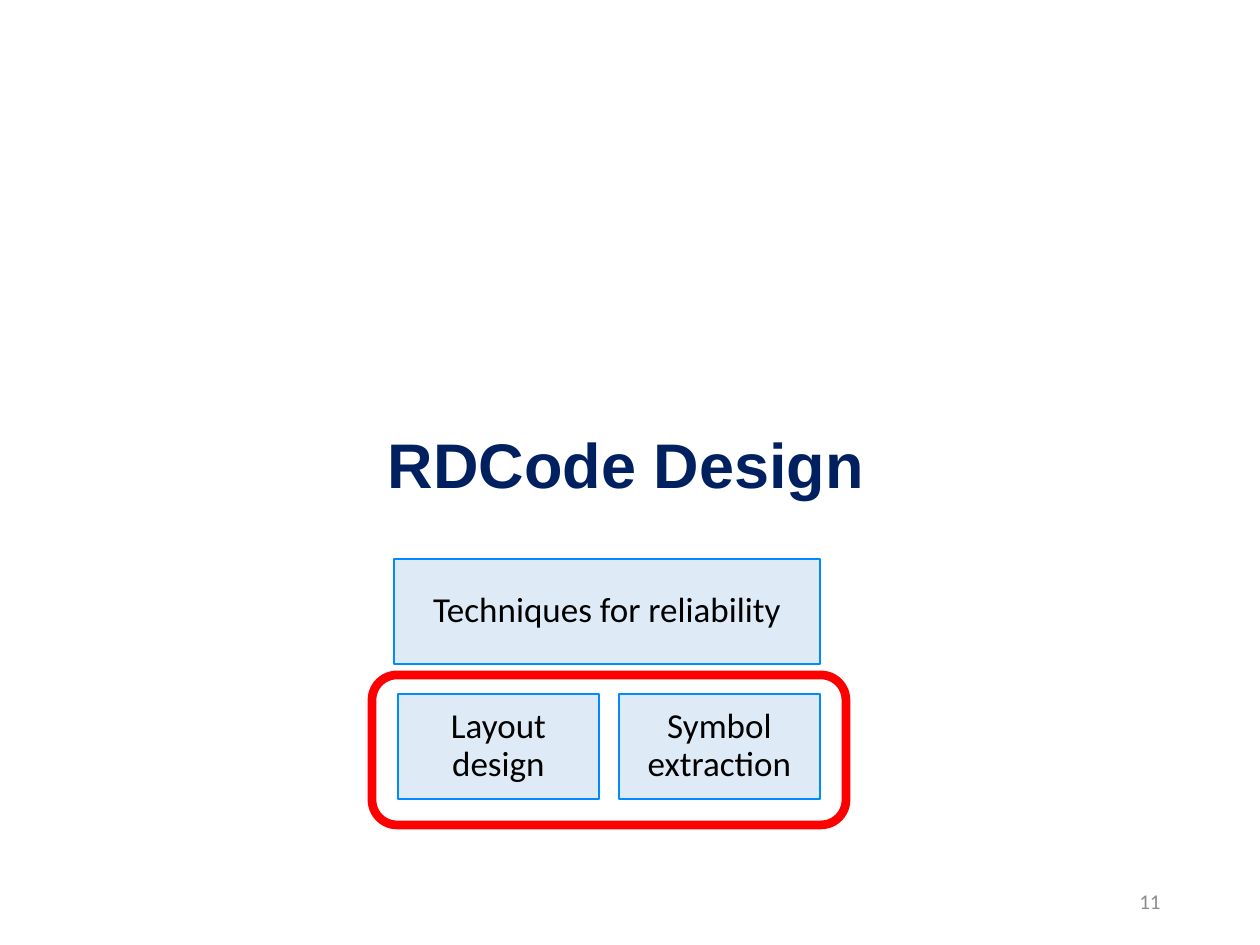
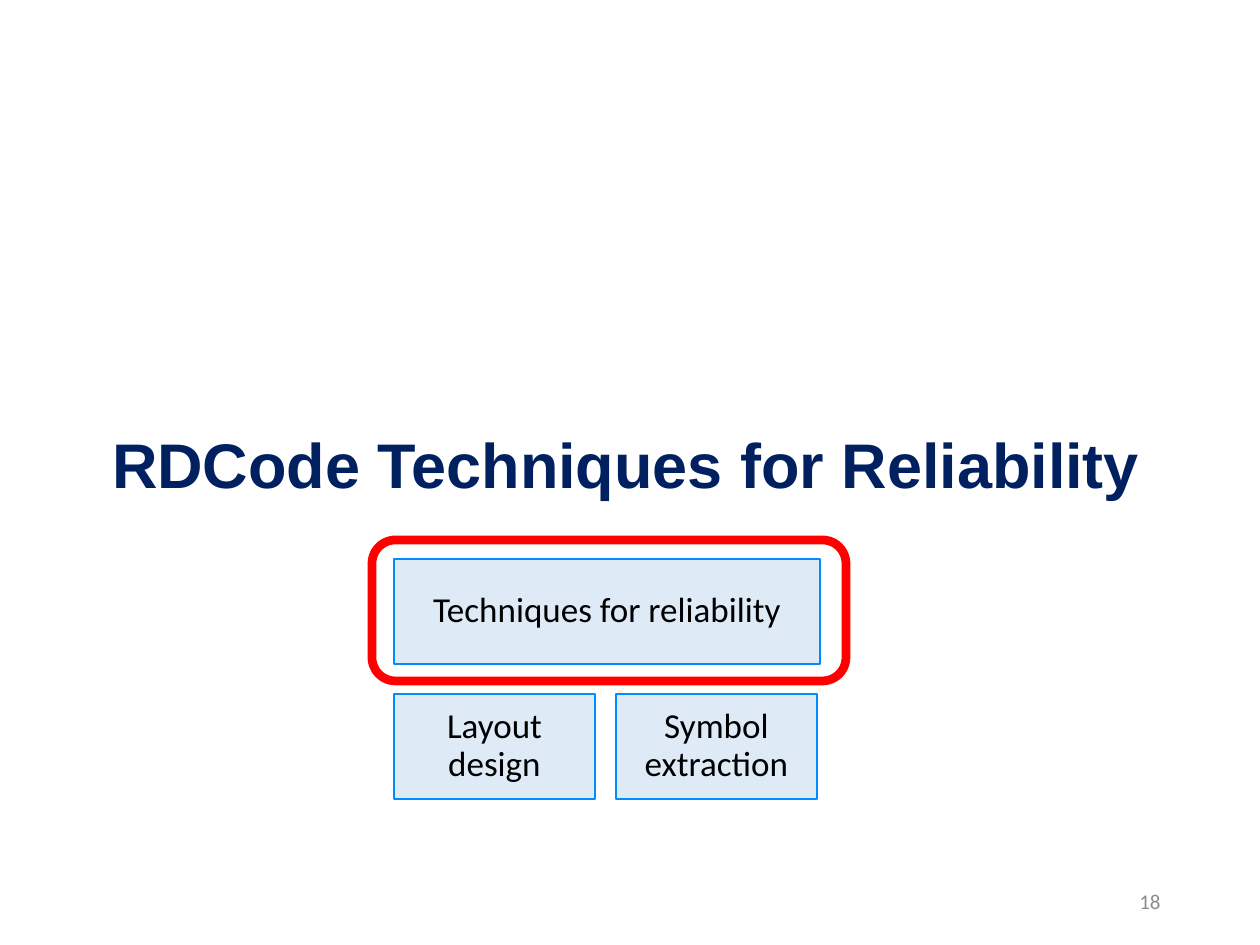
from dataclasses import dataclass

from pptx import Presentation
from pptx.dml.color import RGBColor as RGB
from pptx.enum.shapes import MSO_SHAPE as SHAPE
from pptx.enum.text import MSO_ANCHOR as ANCHOR, MSO_AUTO_SIZE as AUTO_SIZE, PP_ALIGN as ALIGN
from pptx.util import Pt

EMU_PER_PX = 914400 / 126


@dataclass(frozen=True)
class Theme:
    title_font: str = "Arial"
    body_font: str = "Calibri"
    navy: str = "002060"
    black: str = "000000"
    grey: str = "8C8C8C"
    block_fill: str = "DEEBF7"
    block_line: str = "008CFF"
    highlight: str = "FF0000"
    title_size: int = 36
    block_size: int = 20
    number_size: int = 12
    block_line_width: float = 0.75
    highlight_width: float = 5
    line_spacing: float = 0.9


THEME = Theme()

TITLE_BOX = (33, 369, 1186, 139)
NUMBER_BOX = (890, 876, 283, 50)
DIAGRAM_BOX = (394, 559, 426, 240)
BLOCK_HEIGHT = 105
LOWER_WIDTH = 201

# title, number, lower block offsets, highlight (top, height) in the diagram
SECTIONS = [
    ("RDCode Design", "11", (4, 225), (116, 150)),
    ("RDCode Techniques for Reliability", "18", (0, 222), (-19, 141)),
]


def px(*lengths):
    return [round(n * EMU_PER_PX) for n in lengths]


def write(sp, text, font, size, color, align, anchor, bold=False, spacing=None):
    tf = sp.text_frame
    tf.text = text
    tf.word_wrap = True
    tf.auto_size = AUTO_SIZE.NONE
    tf.vertical_anchor = anchor
    p = tf.paragraphs[0]
    p.alignment = align
    p.line_spacing = spacing
    r = p.runs[0]
    r.font.name, r.font.size, r.font.bold = font, Pt(size), bold
    r.font.color.rgb = RGB.from_string(color)


def add_outlined(slide, kind, box, line, width):
    sp = slide.shapes.add_shape(kind, *px(*box))
    sp.shadow.inherit = False
    sp.fill.background()
    sp.line.color.rgb = RGB.from_string(line)
    sp.line.width = Pt(width)
    return sp


def add_block(slide, text, box):
    sp = add_outlined(slide, SHAPE.RECTANGLE, box, THEME.block_line, THEME.block_line_width)
    sp.fill.solid()
    sp.fill.fore_color.rgb = RGB.from_string(THEME.block_fill)
    tf = sp.text_frame
    tf.margin_left, tf.margin_top, tf.margin_right, tf.margin_bottom = px(9, 9, 9, 9)
    write(sp, text, THEME.body_font, THEME.block_size, THEME.black,
          ALIGN.CENTER, ANCHOR.MIDDLE, spacing=THEME.line_spacing)


def add_diagram(slide, box, lower_offsets, highlight):
    """Draw one wide block over two narrow ones, with one row ringed."""
    x, y, w, h = box
    add_block(slide, "Techniques for reliability", (x, y, w, BLOCK_HEIGHT))
    for text, dx in zip(("Layout design", "Symbol extraction"), lower_offsets):
        add_block(slide, text, (x + dx, y + h - BLOCK_HEIGHT, LOWER_WIDTH, BLOCK_HEIGHT))
    top, height = highlight
    add_outlined(slide, SHAPE.ROUNDED_RECTANGLE, (x - 22, y + top, w + 48, height),
                 THEME.highlight, THEME.highlight_width)


def add_title(slide, text, box):
    title = slide.shapes.title
    title.left, title.top, title.width, title.height = px(*box)
    write(title, text, THEME.title_font, THEME.title_size, THEME.navy,
          ALIGN.CENTER, ANCHOR.BOTTOM, bold=True, spacing=THEME.line_spacing)


def add_number(slide, number, box):
    write(slide.shapes.add_textbox(*px(*box)), number, THEME.body_font,
          THEME.number_size, THEME.grey, ALIGN.RIGHT, ANCHOR.MIDDLE)


def add_section(prs, title, number, lower_offsets, highlight):
    slide = prs.slides.add_slide(prs.slide_layouts.get_by_name("Title Only"))
    add_number(slide, number, NUMBER_BOX)
    add_title(slide, title, TITLE_BOX)
    add_diagram(slide, DIAGRAM_BOX, lower_offsets, highlight)


def main():
    prs = Presentation()
    prs.slide_width, prs.slide_height = px(1260, 945)
    for section in SECTIONS:
        add_section(prs, *section)
    prs.save("out.pptx")


if __name__ == "__main__":
    main()
